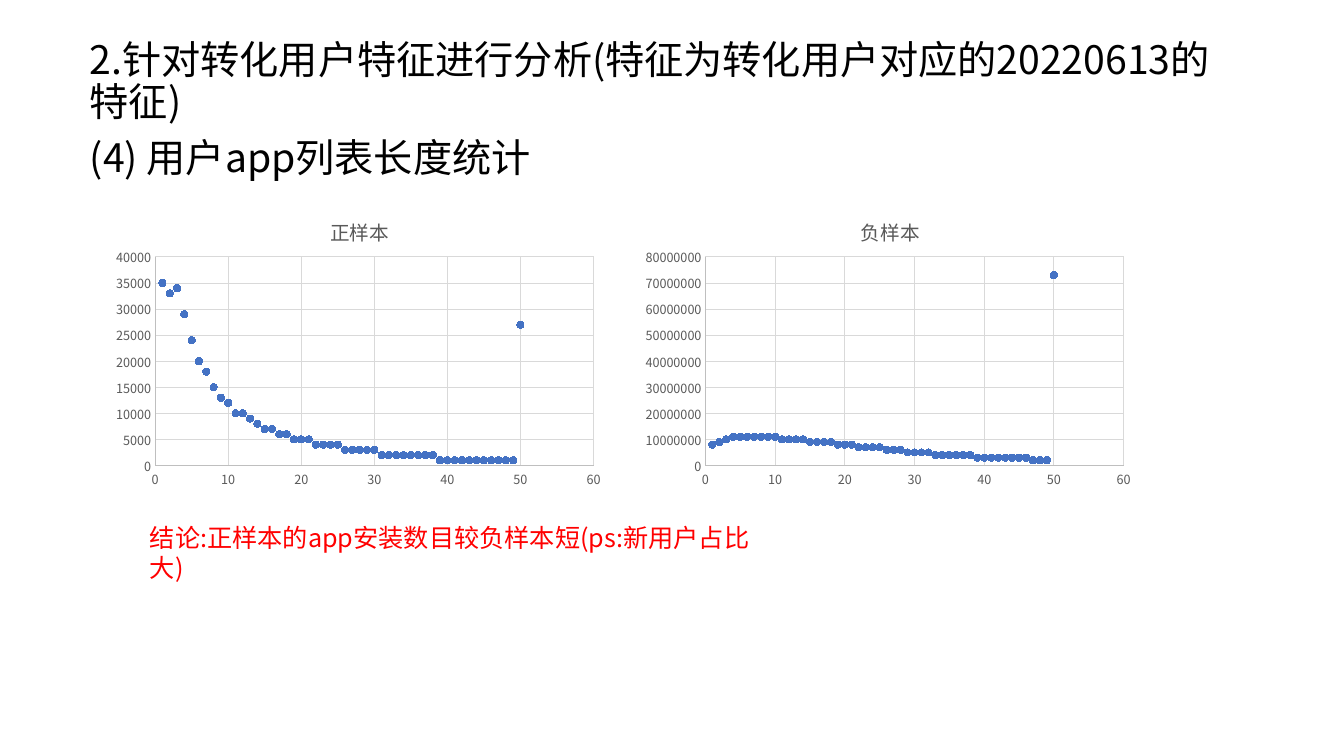
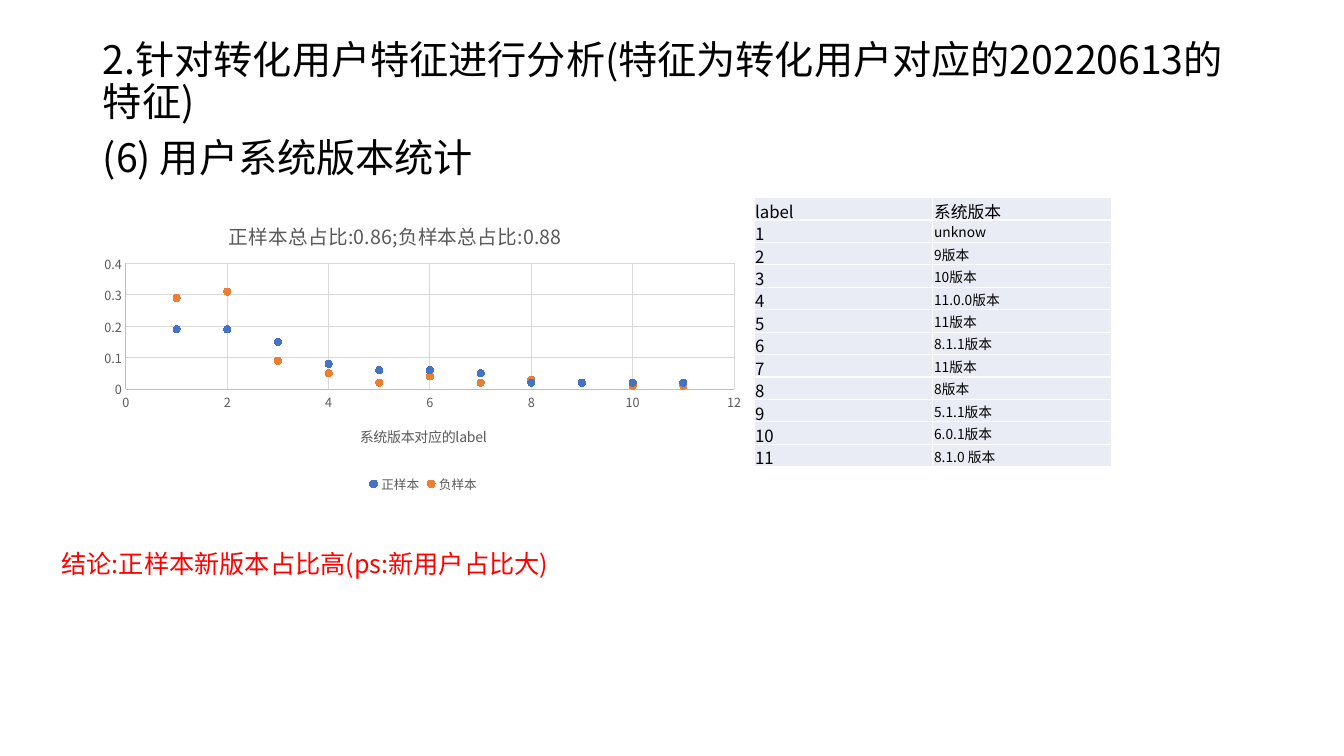
from dataclasses import dataclass
from typing import NamedTuple

from pptx import Presentation
from pptx.chart.data import XyChartData
from pptx.dml.color import RGBColor
from pptx.enum.chart import XL_CHART_TYPE, XL_LEGEND_POSITION, XL_MARKER_STYLE, XL_TICK_MARK
from pptx.enum.text import MSO_ANCHOR, MSO_AUTO_SIZE, PP_ALIGN
from pptx.oxml import parse_xml
from pptx.oxml.ns import nsdecls, qn
from pptx.oxml.xmlchemy import OxmlElement
from pptx.util import Cm, Pt

SCATTER = XL_CHART_TYPE.XY_SCATTER
LEGEND_BOTTOM = XL_LEGEND_POSITION.BOTTOM
CIRCLE = XL_MARKER_STYLE.CIRCLE
NO_TICK = XL_TICK_MARK.NONE
TOP = MSO_ANCHOR.TOP
MIDDLE = MSO_ANCHOR.MIDDLE
NO_FIT = MSO_AUTO_SIZE.NONE
GROW = MSO_AUTO_SIZE.SHAPE_TO_FIT_TEXT
LEFT = PP_ALIGN.LEFT


@dataclass(frozen=True)
class Theme:
    font: str = "Noto Sans CJK SC"
    ink: str = "000000"
    note: str = "FF0000"
    muted: str = "595959"
    axis: str = "BFBFBF"
    grid: str = "D9D9D9"
    cell: str = "E9EBF5"
    border: str = "FFFFFF"
    series: tuple[str, ...] = ("4472C4", "ED7D31")
    title_size: float = 28
    note_size: float = 18
    chart_title_size: float = 14
    axis_title_size: float = 10
    axis_size: float = 9
    label_size: float = 12
    version_size: float = 9.8


class Box(NamedTuple):
    left: float
    top: float
    width: float
    height: float

    def lengths(self) -> tuple[Cm, ...]:
        return tuple(Cm(value) for value in self)


class Series(NamedTuple):
    name: str
    x_values: list[int]
    y_values: list[float]


@dataclass(frozen=True)
class Scatter:
    box: Box
    title: str
    title_at: tuple[float, float]
    plot_area: Box
    x_scale: tuple[float, float]
    y_scale: tuple[float, float]
    series: list[Series]
    x_title: str = ""
    x_title_at: tuple[float, float] = (0, 0)
    legend: bool = False


@dataclass(frozen=True)
class Page:
    title_box: Box
    subtitle: str
    charts: list[Scatter]
    note_box: Box
    note: str


THEME = Theme()
HEADING = "2.针对转化用户特征进行分析(特征为转化用户对应的20220613的特征)".replace("(", "(").replace(")", ")")
VERSIONS = ["unknow", "9版本", "10版本", "11.0.0版本", "11版本", "8.1.1版本",
            "11版本", "8版本", "5.1.1版本", "6.0.1版本", "8.1.0 版本"]
VERSION_ROWS = [("label", "系统版本")] + [(str(n), v) for n, v in enumerate(VERSIONS, 1)]

POSITIVE_LENGTHS = [1, 3, 2, 4, 50, *range(5, 45), 46, 45, 47, 48, 49]
POSITIVE_THOUSANDS = [35, 34, 33, 29, 27, 24, 20, 18, 15, 13, 12, 10, 10, 9, 8, 7, 7, 6, 6,
                      *[5] * 3, *[4] * 4, *[3] * 5, *[2] * 8, *[1] * 11]
NEGATIVE_LENGTHS = [50, 6, 7, 5, 8, 4, 9, 10, 11, 12, 3, *range(13, 19), 2, 1, *range(19, 50)]
NEGATIVE_MILLIONS = [73, *[11] * 7, *[10] * 5, *[9] * 5, *[8] * 4, *[7] * 4, *[6] * 3,
                     *[5] * 4, *[4] * 6, *[3] * 8, *[2] * 3]
LABELS = list(range(1, 12))

PAGES = [
    Page(
        Box(2.01, 0.89, 29.21, 12.09), "(4) 用户app列表长度统计",
        [
            Scatter(Box(2.64, 4.8, 12.7, 7.62), "正样本", (0.44, 0.07),
                    Box(0.1, 0.22, 0.87, 0.69), (60, 10), (40000, 5000),
                    [Series("Series 1", POSITIVE_LENGTHS,
                            [value * 1000 for value in POSITIVE_THOUSANDS])]),
            Scatter(Box(16, 4.8, 12.7, 7.62), "负样本", (0.44, 0.07),
                    Box(0.14, 0.22, 0.83, 0.69), (60, 10), (80000000, 10000000),
                    [Series("Series 1", NEGATIVE_LENGTHS,
                            [value * 1000000 for value in NEGATIVE_MILLIONS])]),
        ],
        Box(3.53, 13.03, 16.33, 1.8),
        "结论:正样本的app安装数目较负样本短(ps:新用户占比大)",
    ),
    Page(
        Box(2.34, 0.89, 29.21, 12.09), "(6) 用户系统版本统计",
        [
            Scatter(Box(2.34, 4.98, 16.66, 7.54), "正样本总占比:0.86;负样本总占比:0.88", (0.2, 0.06),
                    Box(0.05, 0.22, 0.92, 0.42), (12, 2), (0.4, 0.1),
                    [Series("正样本", LABELS, [0.19, 0.19, 0.15, 0.08, 0.06, 0.06,
                                            0.05, 0.02, 0.02, 0.02, 0.02]),
                     Series("负样本", LABELS, [0.29, 0.31, 0.09, 0.05, 0.02, 0.04,
                                            0.02, 0.03, 0.02, 0.01, 0.01])],
                    "系统版本对应的label", (0.4, 0.75), True),
        ],
        Box(1.3, 13.69, 13.28, 1.8),
        "结论:正样本新版本占比高(ps:新用户占比大)",
    ),
]


def style_font(font, size: float, color: str) -> None:
    font.name = THEME.font
    font.size = Pt(size)
    font.bold = False
    font.color.rgb = RGBColor.from_string(color)


def add_span(para, text: str, size: float, color: str) -> None:
    span = para.add_run()
    span.text = text
    style_font(span.font, size, color)


def set_east_asian_font(root) -> None:
    for latin in list(root.iter(qn("a:latin"))):
        east_asian = OxmlElement("a:ea")
        east_asian.set("typeface", THEME.font)
        latin.addnext(east_asian)


def place(parent, index: int, **fractions: float) -> None:
    for old in parent.findall(qn("c:layout")):
        parent.remove(old)
    inner = '<c:layoutTarget val="inner"/>' if "w" in fractions else ""
    modes = "".join(f'<c:{key}Mode val="edge"/>' for key in ("x", "y"))
    values = "".join(f'<c:{key} val="{value}"/>' for key, value in fractions.items())
    parent.insert(index, parse_xml(
        f'<c:layout {nsdecls("c")}><c:manualLayout>{inner}{modes}{values}'
        "</c:manualLayout></c:layout>"))


def set_chart_text(title, text: str, size: float, at: tuple[float, float]) -> None:
    add_span(title.text_frame.paragraphs[0], text, size, THEME.muted)
    place(title.element, 1, x=at[0], y=at[1])


def style_axis(axis, scale: tuple[float, float]) -> None:
    axis.minimum_scale = 0
    axis.maximum_scale, axis.major_unit = scale
    axis.major_tick_mark = axis.minor_tick_mark = NO_TICK
    axis.has_major_gridlines = True
    style_font(axis.tick_labels.font, THEME.axis_size, THEME.muted)
    axis.tick_labels.number_format = "General"
    axis.tick_labels.number_format_is_linked = False
    for line, color in ((axis.format.line, THEME.axis),
                        (axis.major_gridlines.format.line, THEME.grid)):
        line.color.rgb = RGBColor.from_string(color)
        line.width = Pt(0.75)


def add_scatter(page, scatter: Scatter) -> None:
    data = XyChartData()
    for series in scatter.series:
        points = data.add_series(series.name)
        for x_value, y_value in zip(series.x_values, series.y_values):
            points.add_data_point(x_value, y_value)
    chart = page.shapes.add_chart(SCATTER, *scatter.box.lengths(), data).chart
    style_font(chart.font, THEME.axis_title_size, THEME.ink)
    chart.has_title = True
    set_chart_text(chart.chart_title, scatter.title, THEME.chart_title_size, scatter.title_at)
    style_axis(chart.category_axis, scatter.x_scale)
    style_axis(chart.value_axis, scatter.y_scale)
    if scatter.x_title:
        set_chart_text(chart.category_axis.axis_title, scatter.x_title,
                       THEME.axis_title_size, scatter.x_title_at)
    chart.has_legend = scatter.legend
    if scatter.legend:
        chart.legend.position = LEGEND_BOTTOM
        chart.legend.include_in_layout = False
        style_font(chart.legend.font, THEME.axis_size, THEME.muted)
    plot = chart.plots[0]
    plot.vary_by_categories = False
    for series, color in zip(plot.series, THEME.series):
        series.format.line.fill.background()
        series.marker.style = CIRCLE
        series.marker.size = 5
        series.marker.format.fill.solid()
        series.marker.format.fill.fore_color.rgb = RGBColor.from_string(color)
        series.marker.format.line.color.rgb = RGBColor.from_string(color)
    area = scatter.plot_area
    place(chart.element.find(".//" + qn("c:plotArea")), 0,
          x=area.left, y=area.top, w=area.width, h=area.height)
    set_east_asian_font(chart.element)


def style_cell(cell) -> None:
    cell.margin_left = cell.margin_right = cell.margin_top = Cm(0.03)
    cell.margin_bottom = 0
    cell.vertical_anchor = MIDDLE
    properties = cell._tc.get_or_add_tcPr()
    for side in ("lnL", "lnR", "lnT", "lnB"):
        properties.append(parse_xml(
            f'<a:{side} {nsdecls("a")} w="{Pt(1)}"><a:solidFill>'
            f'<a:srgbClr val="{THEME.border}"/></a:solidFill></a:{side}>'))
    cell.fill.solid()
    cell.fill.fore_color.rgb = RGBColor.from_string(THEME.cell)


def add_version_table(page, box: Box) -> None:
    row_count, column_count = len(VERSION_ROWS), len(VERSION_ROWS[0])
    table = page.shapes.add_table(row_count, column_count, *box.lengths()).table
    table.first_row = table.horz_banding = False
    for column in table.columns:
        column.width = Cm(box.width / column_count)
    for row_index, texts in enumerate(VERSION_ROWS):
        table.rows[row_index].height = Cm(box.height / row_count)
        for column_index, text in enumerate(texts):
            cell = table.cell(row_index, column_index)
            style_cell(cell)
            is_version = row_index > 0 and column_index == 1
            size = THEME.version_size if is_version else THEME.label_size
            add_span(cell.text_frame.paragraphs[0], text, size, THEME.ink)


def set_title(page, box: Box, subtitle: str) -> None:
    title = page.shapes.title
    title.left, title.top, title.width, title.height = box.lengths()
    frame = title.text_frame
    frame.word_wrap = True
    frame.auto_size = NO_FIT
    frame.vertical_anchor = TOP
    for para, text in ((frame.paragraphs[0], HEADING), (frame.add_paragraph(), subtitle)):
        para.alignment = LEFT
        para.line_spacing = 0.9
        para.space_before = Pt(10)
        add_span(para, text, THEME.title_size, THEME.ink)


def add_note(page, box: Box, text: str) -> None:
    frame = page.shapes.add_textbox(*box.lengths()).text_frame
    frame.word_wrap = True
    frame.auto_size = GROW
    add_span(frame.paragraphs[0], text, THEME.note_size, THEME.note)


def add_page(deck, content: Page):
    page = deck.slides.add_slide(deck.slide_layouts[5])
    set_title(page, content.title_box, content.subtitle)
    for scatter in content.charts:
        add_scatter(page, scatter)
    add_note(page, content.note_box, content.note)
    return page


deck = Presentation()
deck.slide_width, deck.slide_height = Cm(33.87), Cm(19.05)
length_page, version_page = [add_page(deck, content) for content in PAGES]
add_version_table(version_page, Box(19, 4.98, 9.02, 6.78))
for page in deck.slides:
    set_east_asian_font(page.element)
deck.save("out.pptx")
